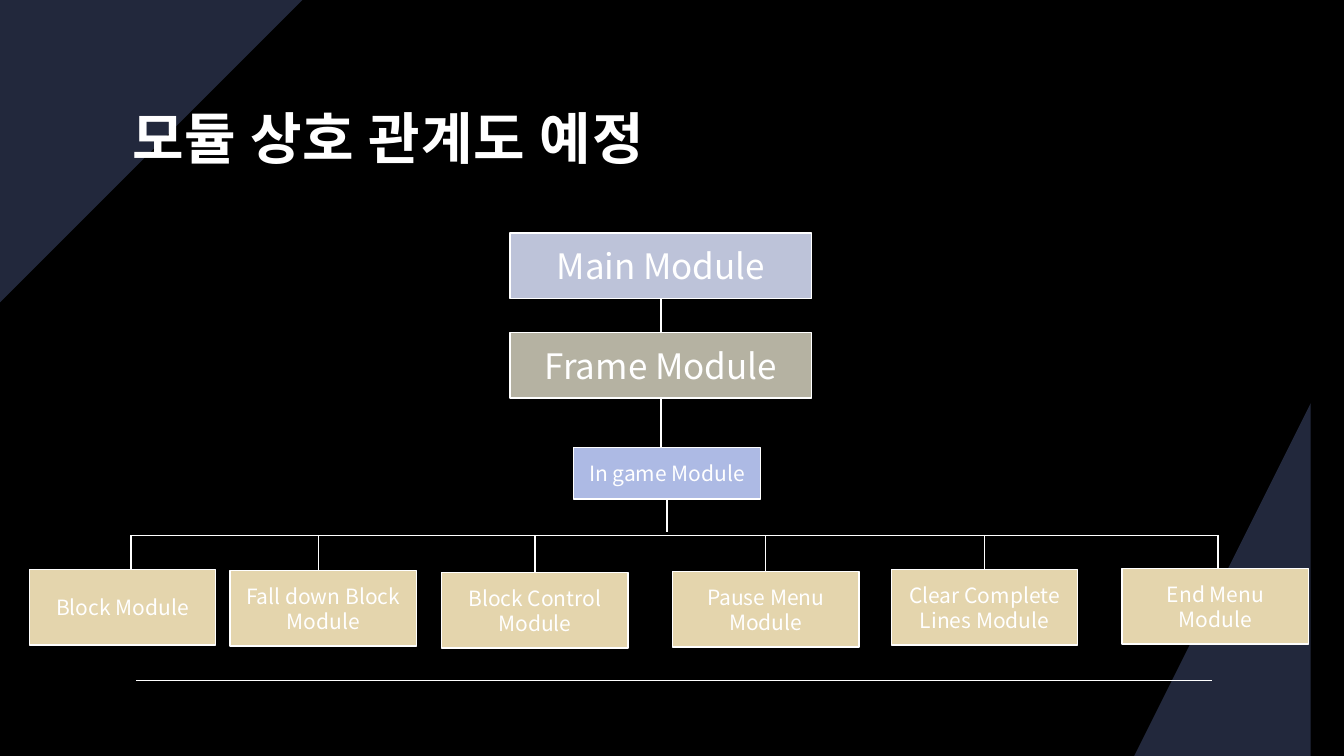
from lxml.etree import SubElement
from pptx import Presentation
from pptx.dml.color import RGBColor
from pptx.enum.shapes import MSO_CONNECTOR, MSO_SHAPE
from pptx.enum.text import MSO_ANCHOR, PP_ALIGN
from pptx.oxml.ns import qn
from pptx.util import Inches, Pt

COLORS = {
    "background": "000000",
    "corner": "22283C",
    "white": "FFFFFF",
    "main": "BDC3D9",
    "frame": "B5B2A2",
    "game": "ADBAE4",
    "part": "E4D5AD",
}
FONT = "Noto Sans CJK KR"
WIDTH, HEIGHT = 13.33, 7.5
TOP, BOTTOM = 0, 2
PARTS = [
    ("Block Module", 0.29, 5.65, 1.3),
    ("Fall down Block Module", 2.28, 5.66, 3.16),
    ("Block Control Module", 4.38, 5.68, None),
    ("Pause Menu\nModule", 6.67, 5.67, None),
    ("Clear Complete Lines Module", 8.84, 5.65, None),
    ("End Menu Module", 11.13, 5.64, 12.08),
]


def color(name):
    return RGBColor.from_string(COLORS[name])


def style_font(paragraph, size, bold=False):
    font = paragraph.font
    font.size, font.bold = Pt(size), bold
    font.color.rgb = color("white")
    font.name = FONT
    SubElement(font._element, qn("a:ea"), typeface=FONT)


def add_line(slide, start, end):
    line = slide.shapes.add_connector(
        MSO_CONNECTOR.STRAIGHT, *(Inches(value) for value in (*start, *end)))
    line.line.color.rgb = color("white")
    line.line.width = Pt(1)
    SubElement(line._element.spPr, qn("a:effectLst"))
    return line


def add_module(slide, text, box, fill, size):
    module = slide.shapes.add_shape(
        MSO_SHAPE.RECTANGLE, *(Inches(value) for value in box))
    module.shadow.inherit = False
    module.fill.solid()
    module.fill.fore_color.rgb = color(fill)
    module.line.color.rgb = color("white")
    module.line.width = Pt(1)
    module.text_frame.word_wrap = True
    module.text_frame.vertical_anchor = MSO_ANCHOR.MIDDLE
    module.text_frame.text = text
    for paragraph in module.text_frame.paragraphs:
        paragraph.alignment = PP_ALIGN.CENTER
        style_font(paragraph, size)
    return module


def add_corner(slide, points):
    builder = slide.shapes.build_freeform(*points[0], scale=Inches(1))
    builder.add_line_segments(points[1:], close=True)
    corner = builder.convert_to_shape()
    corner.shadow.inherit = False
    corner.fill.solid()
    corner.fill.fore_color.rgb = color("corner")
    corner.line.fill.background()


def add_backdrop(slide, width, height):
    slide.background.fill.solid()
    slide.background.fill.fore_color.rgb = color("background")
    across, down = 2.67, 3.05
    add_corner(slide, [(width, height - down), (width, height), (width - across, height)])
    add_corner(slide, [(0, down), (0, 0), (across, 0)])
    add_line(slide, (1.35, 0.9 * height), (12.02, 0.9 * height))


def add_title(slide, text, box):
    title = slide.shapes.title
    title.left, title.top, title.width, title.height = (Inches(value) for value in box)
    slide.shapes._spTree.append(title._element)
    frame = title.text_frame
    frame.text = text
    frame.word_wrap = True
    frame.vertical_anchor = MSO_ANCHOR.MIDDLE
    frame.margin_left = frame.margin_top = frame.margin_right = Inches(0.12)
    frame.margin_bottom = Inches(0.1)
    heading = frame.paragraphs[0]
    heading.alignment = PP_ALIGN.LEFT
    heading.line_spacing = 1.1
    style_font(heading, 40, bold=True)
    heading.font._element.set("spc", "70")


def add_trunk(slide, left, top):
    width, height = 2.99, 0.65
    middle = left + width / 2
    frame_top, game_top = top + 0.99, top + 2.13
    main = add_module(slide, "Main Module", (left, top, width, height), "main", 25)
    frame = add_module(slide, "Frame Module", (left, frame_top, width, height), "frame", 25)
    game = add_module(slide, "In game Module", (left + 0.63, game_top, 1.85, 0.51), "game", 15)

    main_link = add_line(slide, (middle, top + height), (middle, frame_top))
    main_link.begin_connect(main, BOTTOM)
    main_link.end_connect(frame, TOP)
    frame_link = add_line(slide, (middle, frame_top + height), (middle, game_top))
    frame_link.begin_connect(frame, BOTTOM)
    game_link = add_line(slide, (6.61, game_top + 0.51), (6.61, 5.28))
    game_link.begin_connect(game, BOTTOM)
    game_link.end_x = game_link.begin_x


def add_branches(slide, bus_top):
    width, height = 1.85, 0.75
    add_line(slide, (1.3, bus_top), (12.07, bus_top))
    for text, left, top, drop in PARTS:
        module = add_module(slide, text, (left, top, width, height), "part", 15)
        across = drop or left + width / 2
        link = add_line(slide, (across, bus_top), (across, top))
        if drop is None:
            link.end_connect(module, TOP)


def main():
    deck = Presentation()
    deck.slide_width, deck.slide_height = Inches(WIDTH), Inches(HEIGHT)
    slide = deck.slides.add_slide(deck.slide_layouts[5])
    add_backdrop(slide, WIDTH, HEIGHT)
    add_title(slide, "모듈 상호 관계도 예정", (1.19, 0.57, 10.83, 1.49))
    add_trunk(slide, 5.06, 2.31)
    add_branches(slide, 5.31)
    deck.save("out.pptx")


if __name__ == "__main__":
    main()
